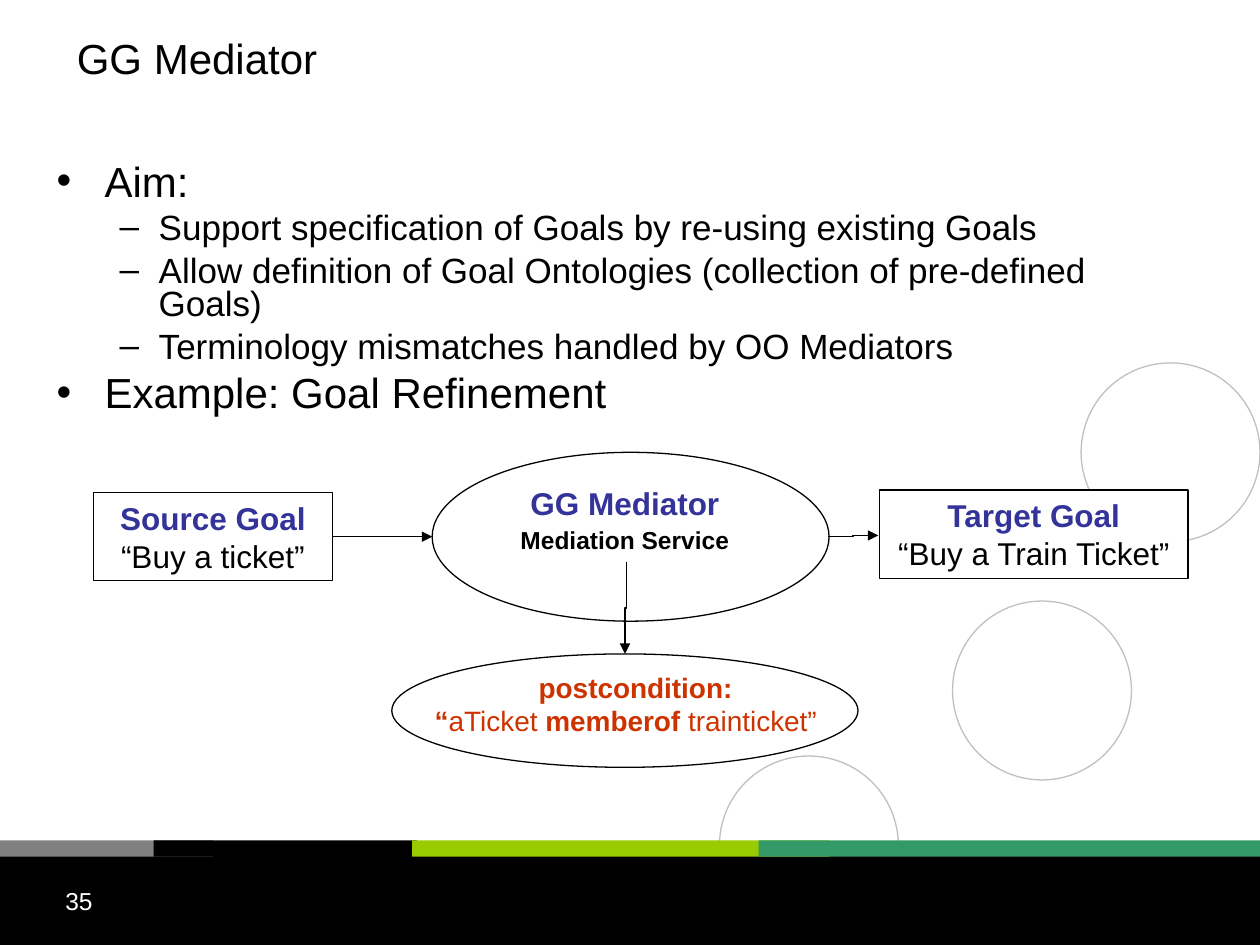
from lxml import etree
from pptx import Presentation
from pptx import util as u
from pptx.dml.color import RGBColor
from pptx.enum import shapes, text
from pptx.oxml import ns

BLACK = RGBColor(0x00, 0x00, 0x00)
WHITE = RGBColor(0xFF, 0xFF, 0xFF)
SILVER = RGBColor(0xC0, 0xC0, 0xC0)
GREY = RGBColor(0x80, 0x80, 0x80)
LIME = RGBColor(0x99, 0xCC, 0x00)
GREEN = RGBColor(0x33, 0x99, 0x66)
INDIGO = RGBColor(0x33, 0x33, 0x99)
RUST = RGBColor(0xCC, 0x33, 0x00)

RECTANGLE = shapes.MSO_SHAPE.RECTANGLE
OVAL = shapes.MSO_SHAPE.OVAL
LEFT = text.PP_ALIGN.LEFT
CENTER = text.PP_ALIGN.CENTER
LEVELS = [("•", 0.38, 24, 6), ("–", 0.31, 20, 5)]
LEVEL_INDENTS = [0.38, 0.81]


class Slide:
    font_name = "Arial"
    line_width = u.Pt(0.75)

    def __init__(self, deck):
        self.page = deck.slides.add_slide(deck.slide_layouts[1])

    def place(self, box, at):
        box.left, box.top, box.width, box.height = map(u.Inches, at)

    def style(self, para, size, color, bold=False, align=LEFT):
        para.alignment = align
        para.font.name = self.font_name
        para.font.size = u.Pt(size)
        para.font.bold = bold
        para.font.color.rgb = color

    def fill_lines(self, box, lines, align=LEFT, wrap=True):
        frame = box.text_frame
        frame.word_wrap = wrap
        frame.vertical_anchor = text.MSO_ANCHOR.TOP
        for index, (words, size, color, bold) in enumerate(lines):
            para = frame.add_paragraph() if index else frame.paragraphs[0]
            para.text = words
            self.style(para, size, color, bold, align)
        return frame

    def title(self, words, at):
        box = self.page.shapes.title
        self.place(box, at)
        frame = self.fill_lines(box, [(words, 24, BLACK, False)])
        frame.vertical_anchor = text.MSO_ANCHOR.MIDDLE
        frame.auto_size = text.MSO_AUTO_SIZE.NONE

    def bullets(self, items, at):
        box = self.page.placeholders[1]
        self.place(box, at)
        frame = box.text_frame
        frame.auto_size = text.MSO_AUTO_SIZE.NONE
        frame.margin_top = u.Inches(0.08)
        for index, (level, words) in enumerate(items):
            para = frame.add_paragraph() if index else frame.paragraphs[0]
            para.text = words
            para.level = level
            mark, hang, size, before = LEVELS[level]
            properties = para._p.get_or_add_pPr()
            properties.set("marL", str(u.Inches(LEVEL_INDENTS[level])))
            properties.set("indent", str(-u.Inches(hang)))
            etree.SubElement(properties, ns.qn("a:buChar")).set("char", mark)
            para.line_spacing = 0.8
            para.space_before = u.Pt(before if index else 0)
            self.style(para, size, BLACK)

    def shape(self, kind, at, fill=None, line=None):
        shape = self.page.shapes.add_shape(kind, *map(u.Inches, at))
        shape.shadow.inherit = False
        if fill is None:
            shape.fill.background()
        else:
            shape.fill.solid()
            shape.fill.fore_color.rgb = fill
        if line is None:
            shape.line.fill.background()
        else:
            shape.line.color.rgb = line
            shape.line.width = self.line_width
        return shape

    def text(self, at, lines, align=LEFT, wrap=True):
        box = self.page.shapes.add_textbox(*map(u.Inches, at))
        return self.fill_lines(box, lines, align, wrap)

    def goal(self, at, name, wish):
        box = self.shape(RECTANGLE, at, WHITE, BLACK)
        self.fill_lines(box, [(name, 18, INDIGO, True), (wish, 18, BLACK, False)], CENTER)

    def arrow(self, start, end, turn=0):
        arrow = self.page.shapes.add_connector(
            shapes.MSO_CONNECTOR.ELBOW, *map(u.Inches, start + end))
        arrow.line.color.rgb = BLACK
        arrow.line.width = self.line_width
        properties = arrow._element.spPr
        if turn:
            properties.find(ns.qn("a:xfrm")).set("rot", str(turn * 60000))
        head = etree.SubElement(arrow.line._get_or_add_ln(), ns.qn("a:tailEnd"))
        head.set("type", "triangle")
        etree.SubElement(properties, ns.qn("a:effectLst"))


def main():
    deck = Presentation()
    deck.slide_width, deck.slide_height = u.Inches(10), u.Inches(7.5)
    slide = Slide(deck)

    for left, top in [(5.71, 6), (7.56, 4.77), (8.58, 2.88)]:
        slide.shape(OVAL, (left, top, 1.42, 1.42), line=SILVER)
    slide.shape(RECTANGLE, (0, 6.75, 10, 0.75), BLACK)
    for left, width, color in [(0, 1.69, GREY), (1.22, 2.09, BLACK),
                               (3.27, 3.31, LIME), (6.02, 3.98, GREEN)]:
        slide.shape(RECTANGLE, (left, 6.67, width, 0.13), color)

    slide.title("GG Mediator", (0.51, 0, 7.83, 0.92))
    slide.bullets([
        (0, "Aim:"),
        (1, "Support specification of Goals by re-using existing Goals"),
        (1, "Allow definition of Goal Ontologies (collection of pre-defined Goals)"),
        (1, "Terminology mismatches handled by OO Mediators"),
        (0, "Example: Goal Refinement"),
    ], (0.35, 1.23, 8.99, 2.36))

    slide.shape(OVAL, (3.43, 3.59, 3.15, 1.34), WHITE, BLACK)
    mediator = slide.text((3.98, 3.79, 1.96, 0.67), [
        ("GG Mediator", 18, INDIGO, True),
        ("Mediation Service", 14, BLACK, True),
    ], CENTER, wrap=False)
    mediator.paragraphs[1].space_before = u.Pt(2)

    slide.goal((0.74, 3.91, 1.9, 0.7), "Source Goal", "“Buy a ticket”")
    slide.goal((6.98, 3.89, 2.45, 0.7), "Target Goal", "“Buy a Train Ticket”")

    slide.shape(OVAL, (3.11, 5.19, 3.7, 0.9), WHITE, BLACK)
    condition = slide.text((3.43, 5.27, 3.23, 0.9),
                           [("postcondition:", 16, RUST, True)], CENTER)
    condition.margin_left = condition.margin_right = u.Inches(0.02)
    para = condition.add_paragraph()
    for words, bold in [("“", True), ("aTicket ", False),
                        ("memberof ", True), ("trainticket”", False)]:
        span = para.add_run()
        span.text = words
        span.font.bold = bold
    slide.style(para, 16, RUST)

    slide.arrow((2.64, 4.26), (3.43, 4.26))
    slide.arrow((6.57, 4.26), (6.97, 4.25))
    slide.arrow((4.6, 4.82), (5.33, 4.83), turn=90)

    slide.text((0.42, 6.98, 2.33, 0.52), [("35", 14, WHITE, False)])
    deck.save("out.pptx")


if __name__ == "__main__":
    main()
